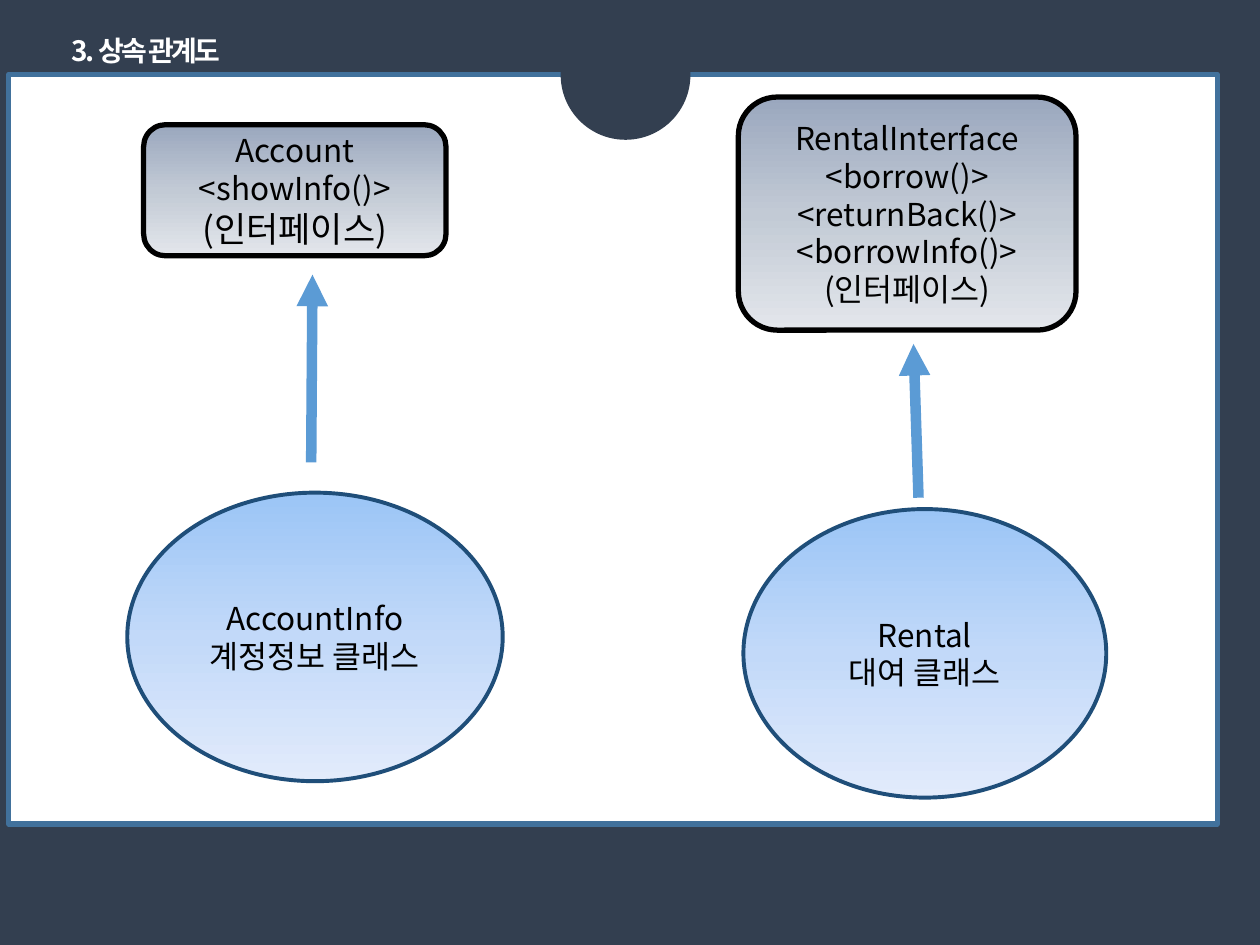
import copy

from lxml import etree
from pptx import Presentation, util as u
from pptx.dml import color
from pptx.enum import shapes, text
from pptx.oxml import ns

FONT = "Noto Sans CJK KR"
INTERFACE_FILL = ("9AA7BE", "C2CAD5", "E3E6EB")
CLASS_FILL = ("9BC5F6", "C2D9F9", "E2EBFB")
KIND = shapes.MSO_SHAPE


def rgb(code):
    return color.RGBColor.from_string(code)


class Diagram:
    """Draws the elements of an inheritance diagram on one slide."""

    def __init__(self, slide, background):
        self.slide = slide
        slide.background.fill.solid()
        slide.background.fill.fore_color.rgb = rgb(background)

    def style_run(self, run, size, ink):
        run.font.size, run.font.name = u.Pt(size), FONT
        run.font.color.rgb = rgb(ink)
        etree.SubElement(run._r.get_or_add_rPr(), ns.qn("a:ea"), typeface=FONT)

    def shape(self, kind, place, fill, line=None, width=3):
        figure = self.slide.shapes.add_shape(kind, *map(u.Inches, place))
        figure.shadow.inherit = False
        if isinstance(fill, tuple):
            self.gradient(figure.fill, figure._element.spPr, fill)
        else:
            figure.fill.solid()
            figure.fill.fore_color.rgb = rgb(fill)
        if line:
            figure.line.color.rgb = rgb(line)
            figure.line.width = u.Pt(width)
        else:
            figure.line.fill.background()
        return figure

    def gradient(self, fill, properties, codes):
        fill.gradient()
        fill.gradient_angle = 270
        stops = properties.find(".//" + ns.qn("a:gsLst"))
        stops.insert(1, copy.deepcopy(stops[0]))
        for index, (stop, code) in enumerate(zip(fill.gradient_stops, codes)):
            stop.position = index / (len(codes) - 1)
            stop.color.rgb = rgb(code)

    def node(self, kind, place, fill, line, width, lines, last_size=18):
        frame = self.shape(kind, place, fill, line, width).text_frame
        frame.text = "\n".join(lines)
        frame.vertical_anchor = text.MSO_ANCHOR.MIDDLE
        for paragraph in frame.paragraphs:
            paragraph.alignment = text.PP_ALIGN.CENTER
            self.style_run(paragraph.runs[0], 18, "000000")
        frame.paragraphs[-1].runs[0].font.size = u.Pt(last_size)

    def interface(self, place, lines, last_size=18):
        self.node(KIND.ROUNDED_RECTANGLE, place, INTERFACE_FILL, "000000", 3, lines, last_size)

    def class_node(self, place, lines):
        self.node(KIND.OVAL, place, CLASS_FILL, "1F4E79", 2.25, lines)

    def arrow(self, *ends):
        link = self.slide.shapes.add_connector(
            shapes.MSO_CONNECTOR.STRAIGHT, *map(u.Inches, ends))
        link.line.color.rgb = rgb("5B9BD5")
        link.line.width = u.Pt(6)
        etree.SubElement(link.line._get_or_add_ln(), ns.qn("a:tailEnd"), type="triangle")
        etree.SubElement(link._element.spPr, ns.qn("a:effectLst"))

    def title(self, place, wording):
        frame = self.slide.shapes.add_textbox(*map(u.Inches, place)).text_frame
        frame.word_wrap = True
        frame.auto_size = text.MSO_AUTO_SIZE.SHAPE_TO_FIT_TEXT
        frame.text = wording
        run = frame.paragraphs[0].runs[0]
        self.style_run(run, 16, "FFFFFF")
        run.font.bold = True
        run._r.get_or_add_rPr().set("spc", "-150")


def main():
    deck = Presentation()
    deck.slide_width, deck.slide_height = u.Inches(10), u.Inches(7.5)
    diagram = Diagram(deck.slides.add_slide(deck.slide_layouts[6]), "333F50")

    diagram.shape(KIND.RECTANGLE, (0.07, 0.59, 9.59, 5.95), "FFFFFF", "41719C")
    diagram.shape(KIND.OVAL, (4.45, 0.08, 1.03, 1.03), "333F50")

    diagram.interface((1.14, 0.99, 2.4, 1.04),
                      ["Account", "<showInfo()>", "(인터페이스)"], last_size=20)
    diagram.class_node((1.01, 3.91, 2.98, 2.29), ["AccountInfo", "계정정보 클래스"])
    diagram.arrow(2.47, 3.67, 2.48, 2.18)

    diagram.interface((5.86, 0.77, 2.68, 1.85),
                      ["RentalInterface", "<borrow()>", "<returnBack()>",
                       "<borrowInfo()>", "(인터페이스)"])
    diagram.class_node((5.9, 4.04, 2.88, 2.29), ["Rental", "대여 클래스"])
    diagram.arrow(7.29, 3.95, 7.25, 2.73)

    diagram.title((0.47, 0.22, 1.99, 0.37), "3. 상속 관계도")
    deck.save("out.pptx")


if __name__ == "__main__":
    main()
